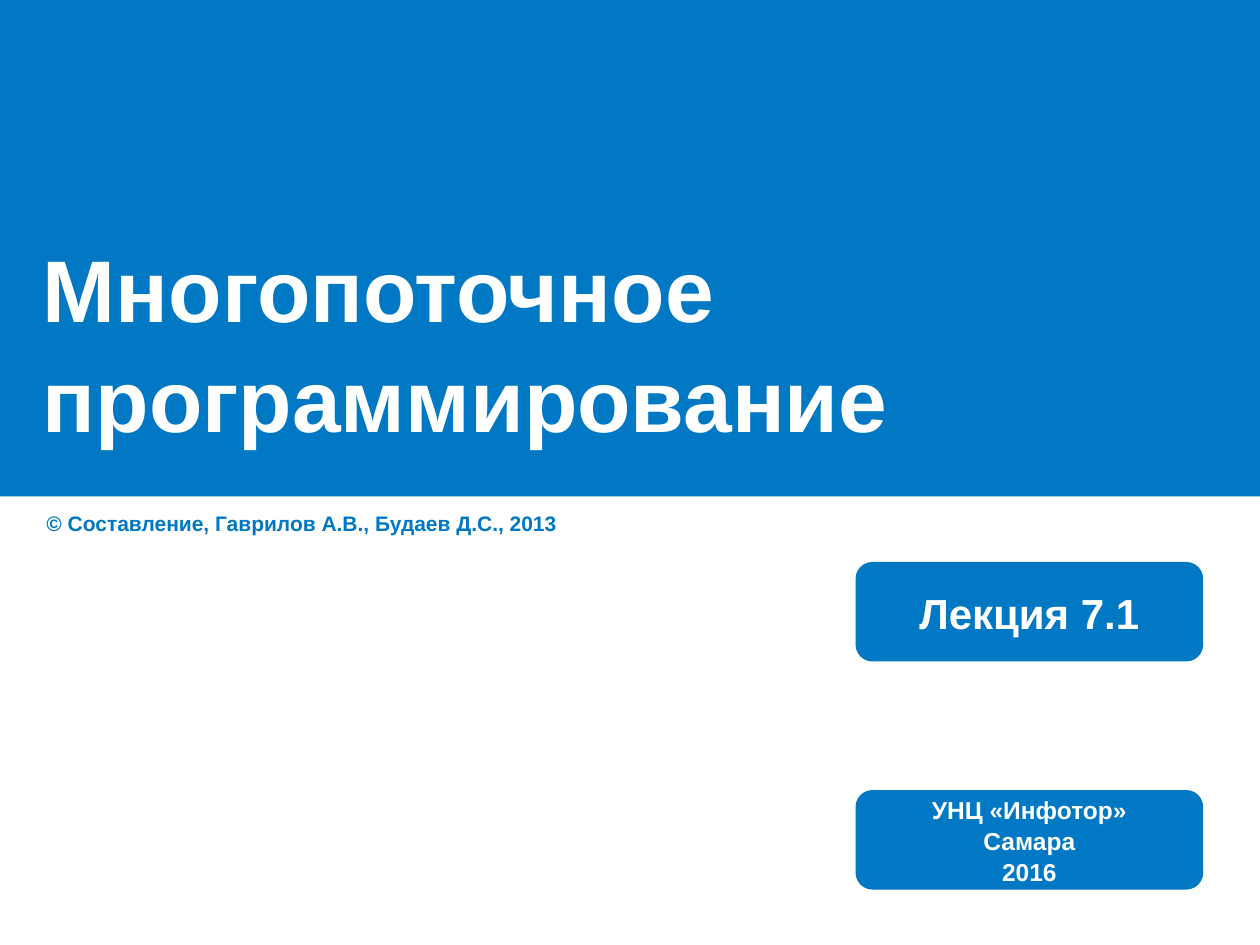
from pptx import Presentation
from pptx.dml.color import RGBColor
from pptx.enum.shapes import MSO_SHAPE
from pptx.enum.text import MSO_ANCHOR, PP_ALIGN
from pptx.util import Inches, Pt

RECT, ROUND = MSO_SHAPE.RECTANGLE, MSO_SHAPE.ROUNDED_RECTANGLE
TOP, MIDDLE = MSO_ANCHOR.TOP, MSO_ANCHOR.MIDDLE
LEFT, CENTER = PP_ALIGN.LEFT, PP_ALIGN.CENTER
COLORS = {"blue": "0078C3", "white": "FFFFFF"}
FONT = "Arial"
LEADING = 1.05


def color(name):
    return RGBColor.from_string(COLORS[name])


def write(shape, lines, size, ink, align=LEFT, anchor=TOP, wrap=True, pad=0.1):
    frame = shape.text_frame
    frame.word_wrap = wrap
    frame.vertical_anchor = anchor
    frame.margin_left = frame.margin_right = Inches(pad)
    frame.margin_top = frame.margin_bottom = Inches(0.05)
    frame.text = "\n".join(lines)
    for para in frame.paragraphs:
        para.alignment = align
        para.line_spacing = LEADING
        font = para.font
        font.name, font.size, font.bold = FONT, Pt(size), True
        font.color.rgb = color(ink)


def panel(slide, kind, box):
    """Add a plain blue shape."""
    shape = slide.shapes.add_shape(kind, *map(Inches, box))
    shape.shadow.inherit = False
    shape.fill.solid()
    shape.fill.fore_color.rgb = color("blue")
    shape.line.fill.background()
    return shape


def banner(slide, box, title):
    left, top, width, height = box
    panel(slide, RECT, box)
    area = (left + 0.27, top + 1.49, width - 0.55, height - 1.52)
    text = slide.shapes.add_textbox(*map(Inches, area))
    write(text, [title], 50, "white", anchor=MIDDLE, pad=0.07)


def credit(slide, box, line):
    text = slide.shapes.add_textbox(*map(Inches, box))
    write(text, [line], 12, "blue")


def badge(slide, box, lines, size):
    shape = panel(slide, ROUND, box)
    shape.adjustments[0] = 0.17
    write(shape, lines, size, "white", CENTER, MIDDLE, wrap=False)


def main():
    deck = Presentation()
    deck.slide_width, deck.slide_height = Inches(10), Inches(7.5)
    slide = deck.slides.add_slide(deck.slide_layouts[6])
    banner(slide, (0, 0, 10, 3.94), "Многопоточное программирование")
    credit(slide, (0.27, 3.99, 4.88, 0.3),
           "© Составление, Гаврилов А.В., Будаев Д.С., 2013")
    badges = [
        (4.46, ["Лекция 7.1"], 24),
        (6.27, ["УНЦ «Инфотор»", "Самара", "2016"], 14),
    ]
    for top, lines, size in badges:
        badge(slide, (6.79, top, 2.76, 0.79), lines, size)
    deck.save("out.pptx")


if __name__ == "__main__":
    main()
